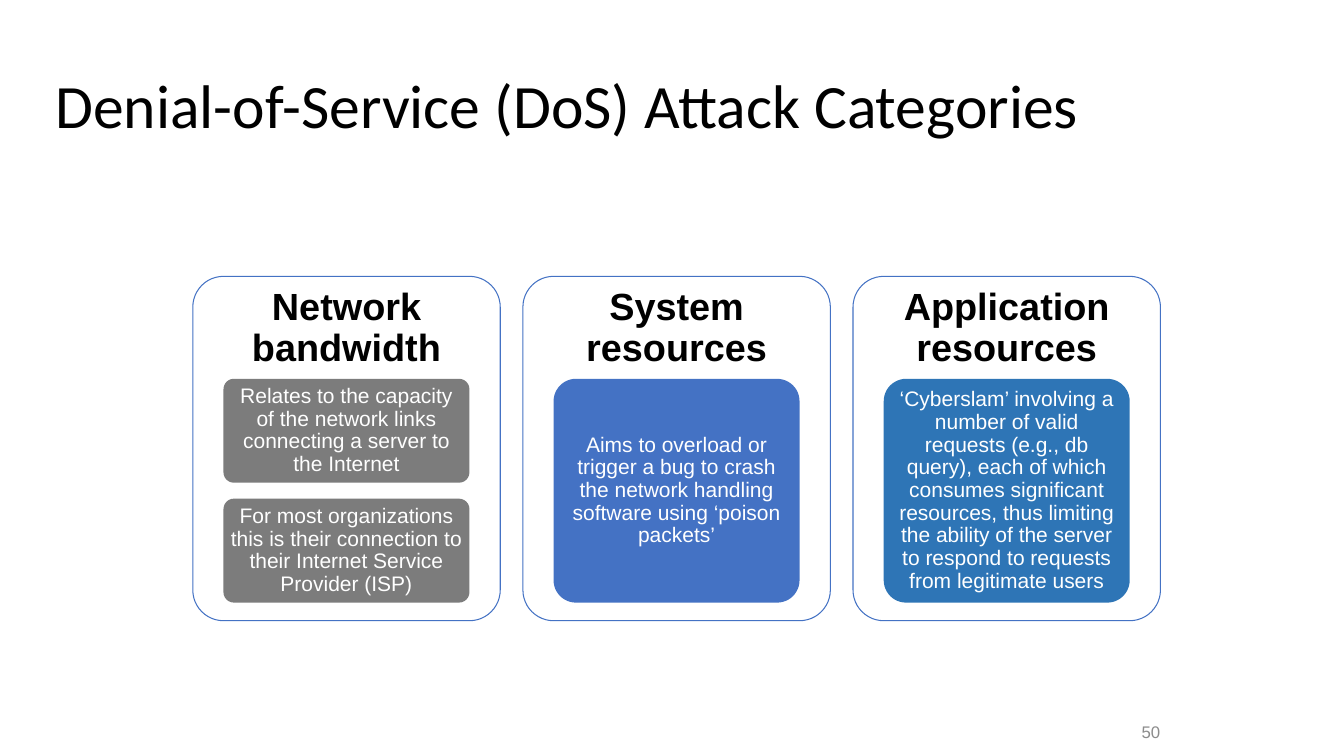
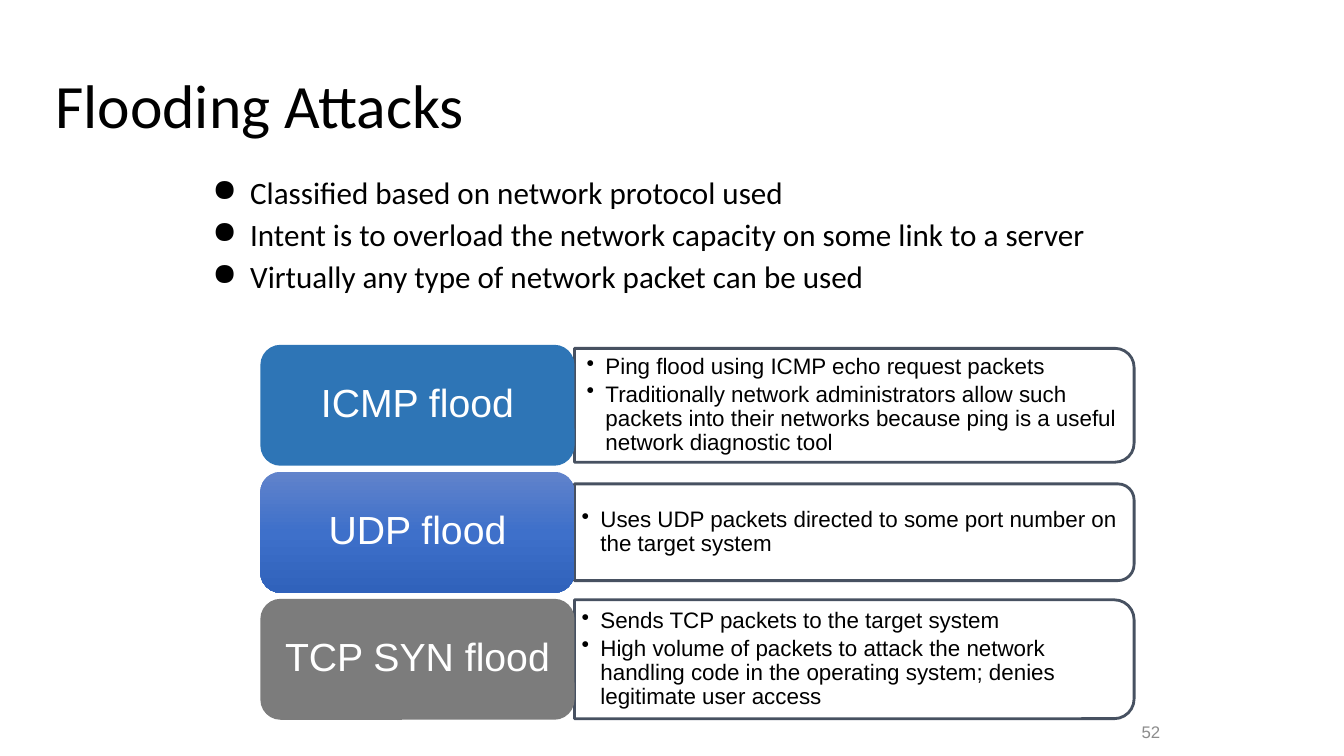
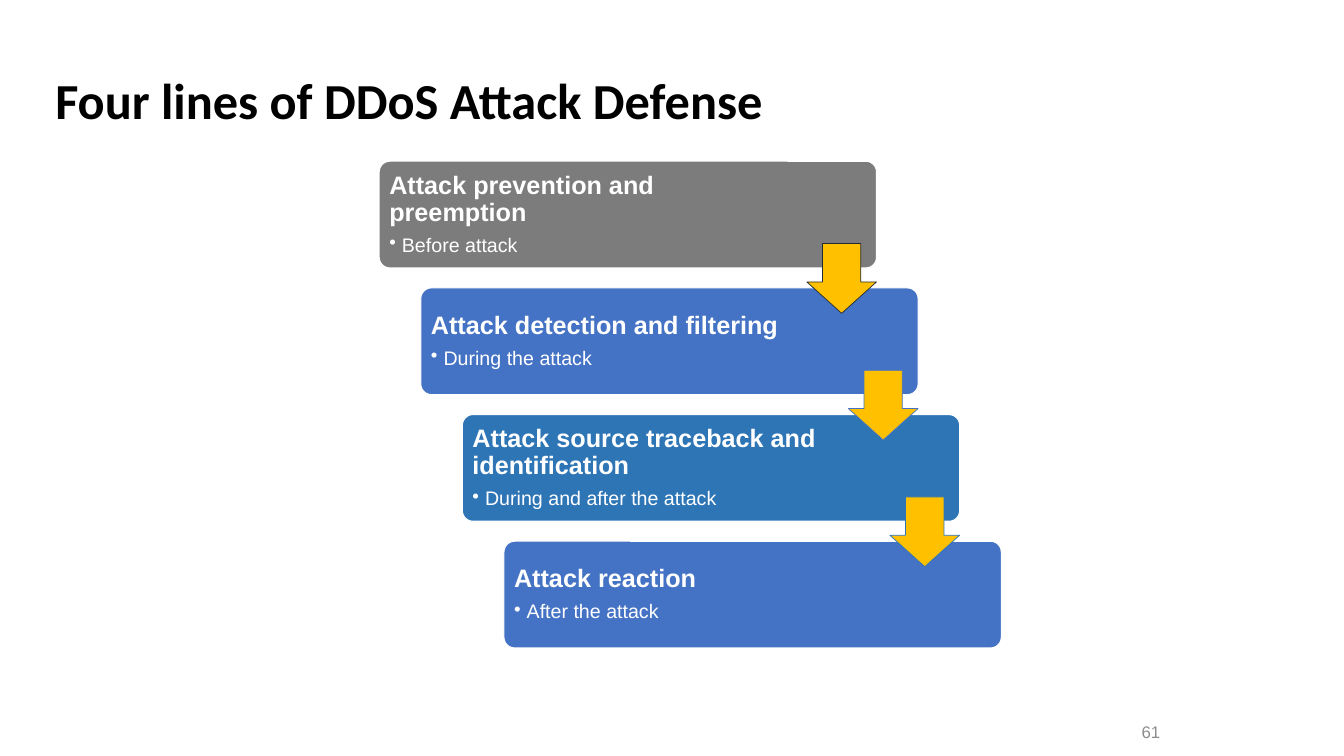
from copy import deepcopy

from lxml import etree
from pptx import Presentation
from pptx import util as u
from pptx.dml import color as c
from pptx.enum import shapes, text
from pptx.oxml import ns

COLUMNS, ROWS = 160, 90
BLACK, WHITE, GREY = "000000", "FFFFFF", "7C7C7C"
BLUE, TEAL, SLATE, GOLD = "4472C4", "2E75B6", "333F50", "FFC000"
DUSK = ("6183CB", "3E70CA", "3062BB")

LEFT, CENTER, RIGHT = text.PP_ALIGN.LEFT, text.PP_ALIGN.CENTER, text.PP_ALIGN.RIGHT
TOP, MIDDLE = text.MSO_ANCHOR.TOP, text.MSO_ANCHOR.MIDDLE
ROUNDED = shapes.MSO_SHAPE.ROUNDED_RECTANGLE

STYLES = {
    "title": dict(font=dict(name="Calibri", size=44), color=BLACK),
    "bold title": dict(font=dict(name="Calibri", size=36, bold=True), color=BLACK),
    "body": dict(font=dict(name="Calibri", size=22.2), color=BLACK, after=6, bullet="●", indent=27),
    "number": dict(font=dict(name="Arial", size=12), color="8C8C8C", align=RIGHT, spacing=1.0),
    "heading": dict(font=dict(name="Arial", size=27, bold=True), color=BLACK, align=CENTER),
    "detail": dict(font=dict(name="Arial", size=15), color=WHITE, align=CENTER),
    "flood": dict(font=dict(name="Arial", size=28), color=WHITE, align=CENTER),
    "fact": dict(font=dict(name="Arial", size=16), color=BLACK, after=2.4, bullet="•", indent=13.5),
    "defense": dict(font=dict(name="Arial", size=18, bold=True), color=WHITE, after=6.3),
    "timing": dict(font=dict(name="Arial", size=14), color=WHITE, after=2.1, bullet="•", indent=9),
}


def rgb(code):
    return c.RGBColor.from_string(code)


class Deck:
    def __init__(self):
        self.prs = Presentation()
        self.prs.slide_width, self.prs.slide_height = u.Inches(13.33), u.Inches(7.5)
        self.slide = None

    def box(self, left, top, width, height):
        across = self.prs.slide_width / COLUMNS
        down = self.prs.slide_height / ROWS
        return [round(n * cell) for n, cell in zip((left, top, width, height), (across, down) * 2)]

    def page(self, title, number, style="title"):
        self.slide = self.prs.slides.add_slide(self.prs.slide_layouts[6])
        self.label((5.4, 7.8, 149, 10), [(style, title)], (7.2,) * 4, TOP)
        self.label((131.2, 86.2, 8.1, 1.8), [("number", str(number))], (7.2, 3.6, 7.2, 3.6))

    def label(self, place, lines, insets, anchor=MIDDLE):
        holder = self.slide.shapes.add_textbox(*self.box(*place))
        self.letter(holder, lines, insets, anchor)

    def letter(self, holder, lines, insets, anchor=MIDDLE):
        frame = holder.text_frame
        sides = ("margin_left", "margin_top", "margin_right", "margin_bottom")
        settings = dict(zip(sides, map(u.Pt, insets)), word_wrap=True, vertical_anchor=anchor)
        for name, value in settings.items():
            setattr(frame, name, value)
        for i, (style, words) in enumerate(lines):
            paragraph = frame.add_paragraph() if i else frame.paragraphs[0]
            self.paragraph(paragraph, words, **STYLES[style])

    def paragraph(self, paragraph, words, font, color, align=LEFT, spacing=0.9,
                  after=0, bullet=None, indent=0):
        if bullet:
            props = paragraph._p.get_or_add_pPr()
            props.set("marL", str(u.Pt(indent)))
            props.set("indent", str(-u.Pt(indent)))
            etree.SubElement(props, ns.qn("a:buChar")).set("char", bullet)
        layout = dict(alignment=align, line_spacing=spacing, space_before=u.Pt(0), space_after=u.Pt(after))
        for name, value in layout.items():
            setattr(paragraph, name, value)
        run = paragraph.add_run()
        run.text = words
        for name, value in font.items():
            setattr(run.font, name, u.Pt(value) if name == "size" else value)
        run.font.color.rgb = rgb(color)

    def shape(self, kind, place, fill=None, line=None, weight=0.75, adjust=()):
        shape = self.slide.shapes.add_shape(kind, *self.box(*place))
        shape.shadow.inherit = False
        for i, value in enumerate(adjust):
            shape.adjustments[i] = value
        if isinstance(fill, tuple):
            self.gradient(shape, fill)
        elif fill:
            shape.fill.solid()
            shape.fill.fore_color.rgb = rgb(fill)
        else:
            shape.fill.background()
        if line:
            shape.line.color.rgb = rgb(line)
            shape.line.width = u.Pt(weight)
        else:
            shape.line.fill.background()
        return shape

    def gradient(self, shape, codes):
        shape.fill.gradient()
        shape.fill.gradient_angle = 270
        first = shape._element.spPr.find(".//" + ns.qn("a:gs"))
        first.addnext(deepcopy(first))
        for i, (stop, code) in enumerate(zip(shape.fill.gradient_stops, codes)):
            stop.position = i / (len(codes) - 1)
            stop.color.rgb = rgb(code)

    def panel(self, left, middle, width, height):
        place = (left + (width - height) / 2, middle - width / 2, height, width)
        panel = self.shape(shapes.MSO_SHAPE.ROUND_2_SAME_RECTANGLE, place, WHITE, SLATE, 2)
        panel.rotation = 90
        tint = panel._element.spPr.find(ns.qn("a:ln")).find(".//" + ns.qn("a:srgbClr"))
        etree.SubElement(tint, ns.qn("a:alpha")).set("val", "90000")


def attack_categories(deck):
    deck.page("Denial-of-Service (DoS) Attack Categories", 50)
    categories = [
        ("Network bandwidth", GREY, [
            "Relates to the capacity of the network links connecting a server to the Internet",
            "For most organizations this is their connection to their Internet Service Provider (ISP)"]),
        ("System resources", BLUE, [
            "Aims to overload or trigger a bug to crash the network handling software using "
            "‘poison packets’"]),
        ("Application resources", TEAL, [
            "‘Cyberslam’ involving a number of valid requests (e.g., db query), each of which "
            "consumes significant resources, thus limiting the ability of the server to respond "
            "to requests from legitimate users"]),
    ]
    width, gap, room = 36.6, 1.9, 26.64
    for i, (heading, color, details) in enumerate(categories):
        left = 22.95 + i * 39.3
        card = deck.shape(ROUNDED, (left, 32.9, width, 41), line=BLUE, adjust=[0.1])
        deck.letter(card, [("heading", heading)], (2, 2, 2, 2), TOP)
        height = (room + gap) / len(details) - gap
        for j, words in enumerate(details):
            place = (left + width * 0.1, 45.1 + j * (height + gap), width * 0.8, height)
            detail = deck.shape(ROUNDED, place, color, adjust=[0.1])
            deck.letter(detail, [("detail", words)], (3, 2.2, 3, 2.2))


def flooding_attacks(deck):
    deck.page("Flooding Attacks", 52)
    points = ["Classified based on network protocol used",
              "Intent is to overload the network capacity on some link to a server",
              "Virtually any type of network packet can be used"]
    deck.label((24.1, 19.9, 111.8, 17.6), [("body", point) for point in points], (7.2,) * 4, TOP)
    wide, narrow = (8.6, 4.3, 8.6, 4.3), (5, 2.2, 5, 2.2)
    floods = [
        ("ICMP flood", TEAL, 13.56, wide, [
            "Ping flood using ICMP echo request packets",
            "Traditionally network administrators allow such packets into their networks because "
            "ping is a useful network diagnostic tool"]),
        ("UDP flood", DUSK, 11.52, narrow, [
            "Uses UDP packets directed to some port number on the target system"]),
        ("TCP SYN flood", GREY, 14.16, narrow, [
            "Sends TCP packets to the target system",
            "High volume of packets to attack the network handling code in the operating system; "
            "denies legitimate user access"]),
    ]
    left, width, height = 31, 37.4, 14.4
    for i, (name, color, depth, insets, facts) in enumerate(floods):
        top = 41.05 + i * 15.12
        middle = top + height / 2
        deck.panel(left + width, middle, 66.6, depth)
        deck.label((left + width, middle - depth / 2, 66, depth),
                   [("fact", fact) for fact in facts], insets)
        flood = deck.shape(ROUNDED, (left, top, width, height), color)
        deck.letter(flood, [("flood", name)], wide)


def defense_lines(deck):
    deck.page("Four lines of DDoS Attack Defense", 61, "bold title")
    defenses = [
        ("Attack prevention and preemption", "Before attack", GREY),
        ("Attack detection and filtering", "During the attack", BLUE),
        ("Attack source traceback and identification", "During and after the attack", TEAL),
        ("Attack reaction", "After the attack", BLUE),
    ]
    width, height, arrow = 59.2, 12.7, 8.3
    corners = [(45.15 + i * 4.95, 19.2 + i * 15.08) for i in range(len(defenses))]
    for (left, top), (name, timing, color) in zip(corners, defenses):
        defense = deck.shape(ROUNDED, (left, top, width, height), color, WHITE, adjust=[0.1])
        deck.letter(defense, [("defense", name), ("timing", timing)], (5, 5, 86, 5))
    for (left, top), outline in zip(corners, ("222A35", BLUE, TEAL)):
        place = (left + width - arrow, top + 9.8, arrow, arrow)
        deck.shape(shapes.MSO_SHAPE.DOWN_ARROW, place, GOLD, outline, 0.5, [0.55, 0.45])


def main():
    deck = Deck()
    attack_categories(deck)
    flooding_attacks(deck)
    defense_lines(deck)
    deck.prs.save("out.pptx")


if __name__ == "__main__":
    main()
